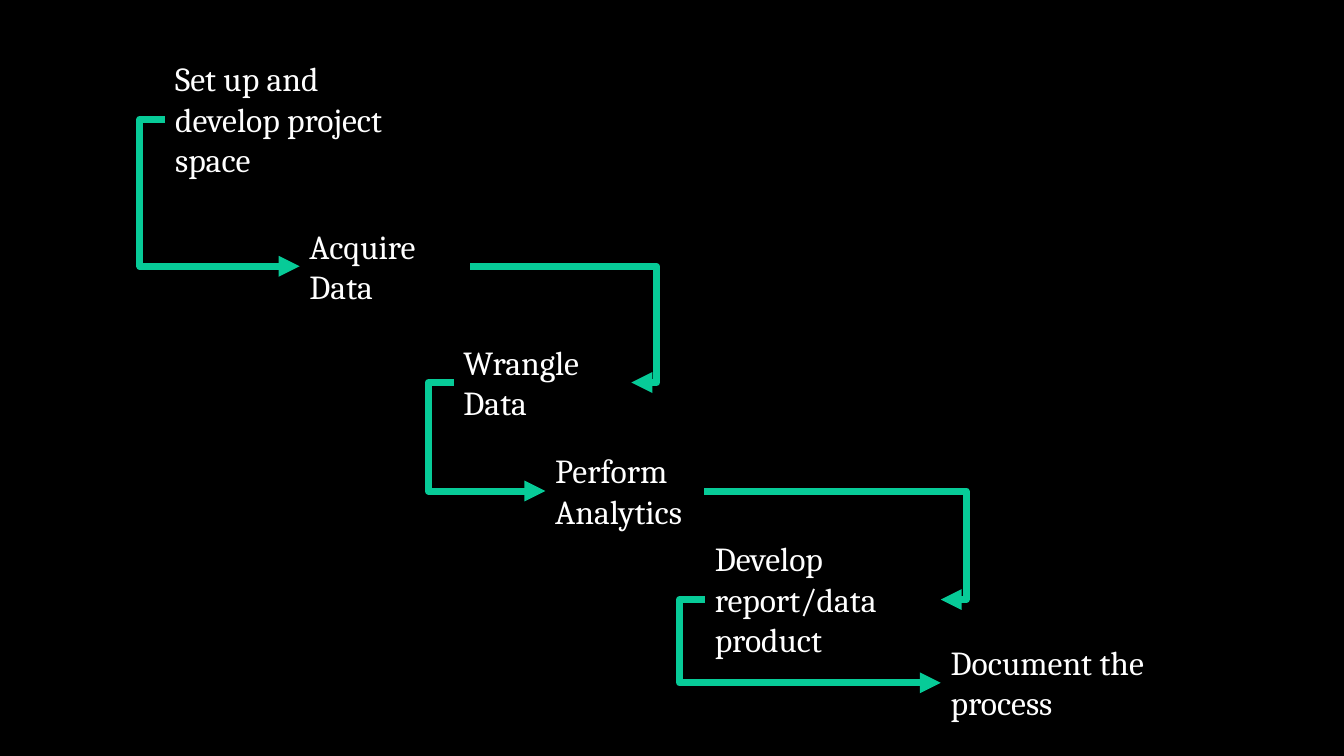
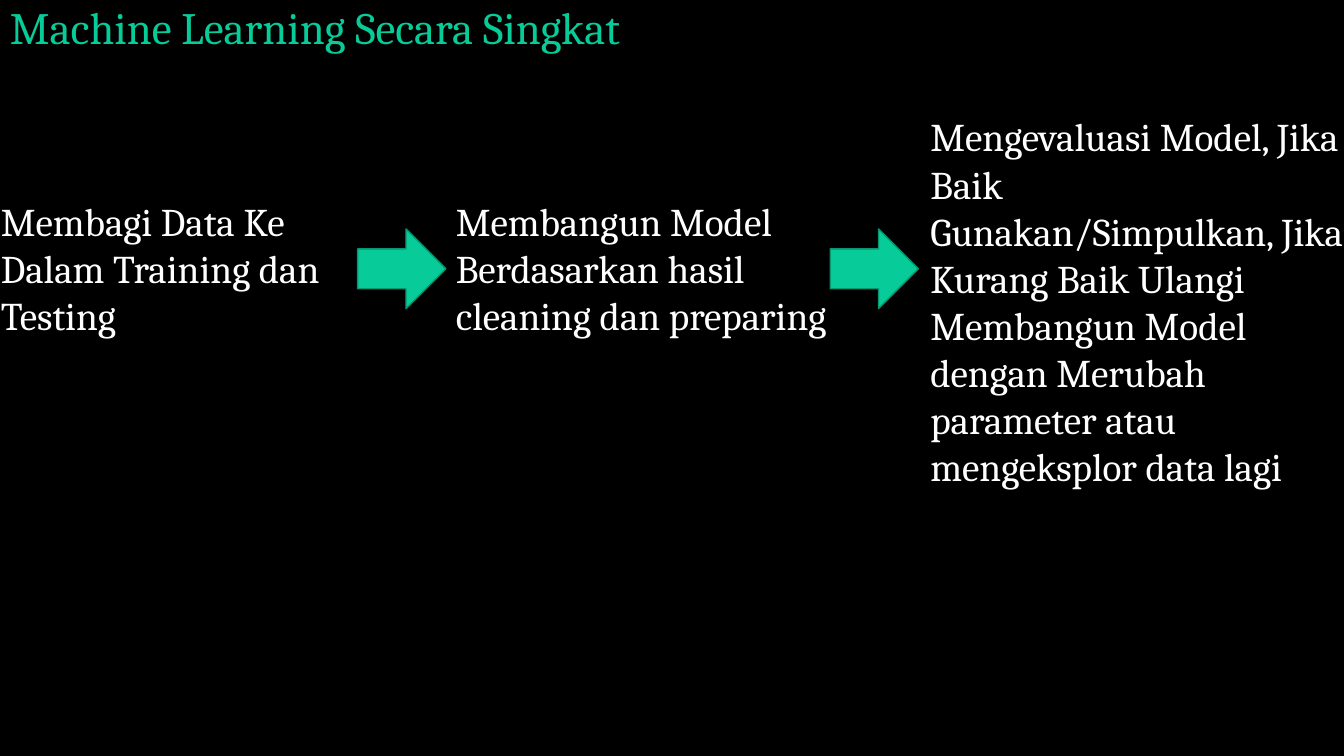
from itertools import pairwise
from typing import NamedTuple

from lxml.etree import SubElement
from pptx import Presentation
from pptx.dml.color import RGBColor
from pptx.enum.shapes import MSO_CONNECTOR, MSO_SHAPE
from pptx.enum.text import MSO_ANCHOR, PP_ALIGN
from pptx.oxml.ns import qn
from pptx.slide import Slide
from pptx.util import Pt

BLACK = RGBColor(0x00, 0x00, 0x00)
WHITE = RGBColor(0xFF, 0xFF, 0xFF)
GREEN = RGBColor(0x07, 0xCB, 0x98)
DARK_GREEN = RGBColor(0x05, 0x96, 0x70)

FONT = "Cambria"
CONNECTOR_WIDTH = 5
ELBOW_REACH = 18


class Step(NamedTuple):
    text: str
    left: float
    top: float
    width: float
    height: float

    @property
    def right(self) -> float:
        return self.left + self.width

    @property
    def middle(self) -> float:
        return self.top + self.height / 2


PROJECT_STEPS = [
    Step("Set up and develop project space", 118, 38, 193, 94.5),
    Step("Acquire Data", 214, 157.5, 122, 65.5),
    Step("Wrangle Data", 324, 240.5, 127, 65.5),
    Step("Perform Analytics", 389.5, 318, 113.5, 65.5),
    Step("Develop report/data product", 503.5, 381, 168.5, 94.5),
    Step("Document the process", 672, 455, 193, 65.5),
]

MODEL_STEPS = [
    Step("Membagi Data Ke Dalam Training dan Testing", -6.5, 137.5, 273, 109),
    Step("Membangun Model Berdasarkan hasil cleaning dan preparing",
         318.5, 137.5, 314, 109),
    Step("Mengevaluasi Model, Jika Baik Gunakan/Simpulkan, Jika Kurang Baik "
         "Ulangi Membangun Model dengan Merubah parameter atau mengeksplor "
         "data lagi", 657.5, 77, 314, 278.5),
]
ARROW_LEFTS = [255.5, 593]


def add_text(slide: Slide, step: Step, *, size: float,
             color: RGBColor = WHITE, anchor: MSO_ANCHOR = MSO_ANCHOR.TOP,
             line_spacing: float = 1.0) -> None:
    box = slide.shapes.add_textbox(
        Pt(step.left), Pt(step.top), Pt(step.width), Pt(step.height))
    frame = box.text_frame
    frame.word_wrap = True
    frame.vertical_anchor = anchor
    paragraph = frame.paragraphs[0]
    paragraph.alignment = PP_ALIGN.LEFT
    paragraph.line_spacing = line_spacing
    run = paragraph.add_run()
    run.text = step.text
    run.font.name = FONT
    run.font.size = Pt(size)
    run.font.color.rgb = color


def add_elbow_arrow(slide: Slide, start: Step, end: Step,
                    on_left: bool) -> None:
    """Join the same side of two steps, bending outside both of them."""
    if on_left:
        start_x, end_x = start.left, end.left
        elbow_x = start_x - ELBOW_REACH
    else:
        start_x, end_x = start.right, end.right
        elbow_x = end_x + ELBOW_REACH
    connector = slide.shapes.add_connector(
        MSO_CONNECTOR.ELBOW,
        Pt(start_x), Pt(start.middle), Pt(end_x), Pt(end.middle))
    connector.line.color.rgb = GREEN
    connector.line.width = Pt(CONNECTOR_WIDTH)

    properties = connector.element.spPr
    adjustments = properties.find(qn("a:prstGeom")).get_or_add_avLst()
    bend = round(100000 * (elbow_x - start_x) / (end_x - start_x))
    SubElement(adjustments, qn("a:gd"), name="adj1", fmla=f"val {bend}")
    SubElement(properties.find(qn("a:ln")), qn("a:tailEnd"), type="triangle")
    SubElement(properties, qn("a:effectLst"))


def add_block_arrow(slide: Slide, left: float) -> None:
    arrow = slide.shapes.add_shape(
        MSO_SHAPE.RIGHT_ARROW, Pt(left), Pt(163.5), Pt(63), Pt(57))
    arrow.shadow.inherit = False
    arrow.fill.solid()
    arrow.fill.fore_color.rgb = GREEN
    arrow.line.color.rgb = DARK_GREEN
    arrow.line.width = Pt(1)


def build_project_slide(slide: Slide) -> None:
    for step in PROJECT_STEPS:
        add_text(slide, step, size=24)
    for index, (start, end) in enumerate(pairwise(PROJECT_STEPS)):
        add_elbow_arrow(slide, start, end, on_left=index % 2 == 0)


def build_model_slide(slide: Slide) -> None:
    title = Step("Machine Learning Secara Singkat", 0, 0, 756, 42)
    add_text(slide, title, size=32, color=GREEN,
             anchor=MSO_ANCHOR.BOTTOM, line_spacing=0.9)
    for step in MODEL_STEPS:
        add_text(slide, step, size=28)
    for left in ARROW_LEFTS:
        add_block_arrow(slide, left)


def main() -> None:
    presentation = Presentation()
    presentation.slide_width = Pt(960)
    presentation.slide_height = Pt(540)
    background = presentation.slide_master.background.fill
    background.solid()
    background.fore_color.rgb = BLACK
    blank_layout = presentation.slide_layouts[6]
    for build in (build_project_slide, build_model_slide):
        build(presentation.slides.add_slide(blank_layout))
    presentation.save("out.pptx")


if __name__ == "__main__":
    main()
